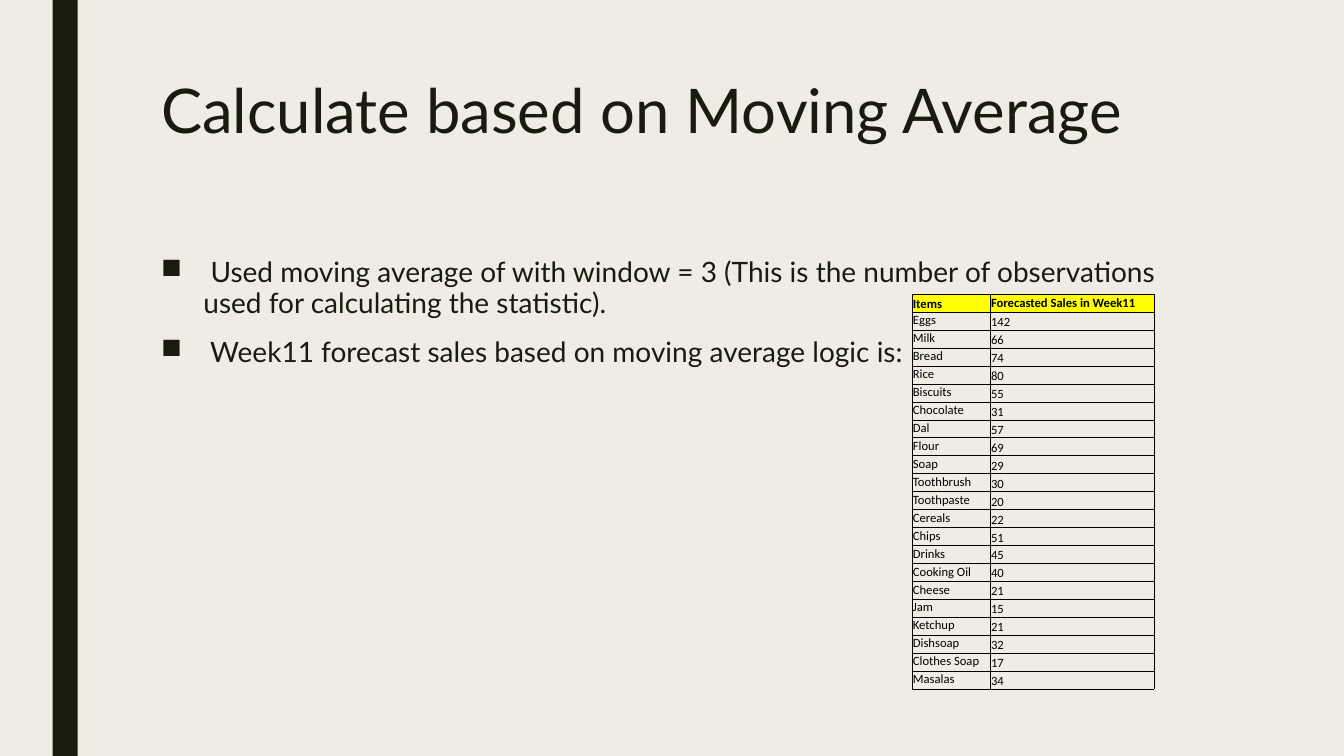
import pptx
import pptx.dml.color
import pptx.enum.shapes
import pptx.enum.text
import pptx.oxml.ns
import pptx.util
from lxml import etree

Pt = pptx.util.Pt
qn = pptx.oxml.ns.qn
ANCHOR = pptx.enum.text.MSO_ANCHOR

BACKGROUND = "EFEDE3"
INK = "191B0E"
BLACK = "000000"
YELLOW = "FFFF00"

BULLETS = [
    " Used moving average of with window = 3 (This is the number of "
    "observations used for calculating the statistic).",
    " Week11 forecast sales based on moving average logic is:",
]
HEADER = ("Items", "Forecasted Sales in Week11")
FORECAST = [
    ("Eggs", 142), ("Milk", 66), ("Bread", 74), ("Rice", 80),
    ("Biscuits", 55), ("Chocolate", 31), ("Dal", 57), ("Flour", 69),
    ("Soap", 29), ("Toothbrush", 30), ("Toothpaste", 20), ("Cereals", 22),
    ("Chips", 51), ("Drinks", 45), ("Cooking Oil", 40), ("Cheese", 21),
    ("Jam", 15), ("Ketchup", 21), ("Dishsoap", 32), ("Clothes Soap", 17),
    ("Masalas", 34),
]


def rgb(value):
    return pptx.dml.color.RGBColor.from_string(value)


class SlideBuilder:
    """Holds the text style and the slide being filled."""

    font = "Lato"
    table_font = "Calibri"

    def __init__(self, slide):
        self.slide = slide
        fill = slide.background.fill
        fill.solid()
        fill.fore_color.rgb = rgb(BACKGROUND)

    def bar(self, x, y, w, h):
        sp = self.slide.shapes.add_shape(
            pptx.enum.shapes.MSO_SHAPE.RECTANGLE, Pt(x), Pt(y), Pt(w), Pt(h))
        sp.shadow.inherit = False
        sp.fill.solid()
        sp.fill.fore_color.rgb = rgb(INK)
        sp.line.fill.background()

    def run(self, p, text, size, font, color, bold=False):
        r = p.add_run()
        r.text = text
        r.font.size = Pt(size)
        r.font.name = font
        r.font.bold = bold
        r.font.color.rgb = rgb(color)

    def text(self, x, y, w, h, lines, size, spacing, bulleted=False):
        sp = self.slide.shapes.add_textbox(Pt(x), Pt(y), Pt(w), Pt(h))
        tf = sp.text_frame
        tf.word_wrap = True
        for i, line in enumerate(lines):
            p = tf.add_paragraph() if i else tf.paragraphs[0]
            p.line_spacing = spacing
            if bulleted:
                p.space_before, p.space_after = Pt(10), Pt(2)
                self.bullet(p, 30.24)
            self.run(p, line, size, self.font, INK)

    def bullet(self, p, indent):
        pPr = p._p.get_or_add_pPr()
        pPr.set("marL", str(Pt(indent)))
        pPr.set("indent", str(-Pt(indent)))
        etree.SubElement(pPr, qn("a:buChar")).set("char", "■")

    def table(self, x, y, widths, row_height, rows):
        shape = self.slide.shapes.add_table(
            len(rows), len(widths), Pt(x), Pt(y),
            Pt(sum(widths)), Pt(row_height * len(rows)))
        table = shape.table
        table.first_row = table.horz_banding = False
        for column, width in zip(table.columns, widths):
            column.width = Pt(width)
        for i, row in enumerate(rows):
            table.rows[i].height = Pt(row_height)
            for j, value in enumerate(row):
                self.cell(table.cell(i, j), str(value), i == 0,
                          at_bottom=(i == 0) != (j == 1))

    def cell(self, cell, text, is_header, at_bottom):
        cell.margin_left = cell.margin_right = cell.margin_top = Pt(0.6)
        cell.margin_bottom = Pt(0)
        cell.vertical_anchor = ANCHOR.BOTTOM if at_bottom else ANCHOR.TOP
        self.borders(cell)
        if is_header:
            cell.fill.solid()
            cell.fill.fore_color.rgb = rgb(YELLOW)
        else:
            cell.fill.background()
        self.run(cell.text_frame.paragraphs[0], text, 9, self.table_font,
                 BLACK, bold=is_header)

    def borders(self, cell):
        tcPr = cell._tc.get_or_add_tcPr()
        for side in ("a:lnL", "a:lnR", "a:lnT", "a:lnB"):
            ln = etree.SubElement(tcPr, qn(side))
            ln.set("w", str(Pt(0.5)))
            fill = etree.SubElement(ln, qn("a:solidFill"))
            etree.SubElement(fill, qn("a:srgbClr")).set("val", BLACK)


def main():
    prs = pptx.Presentation()
    prs.slide_width, prs.slide_height = Pt(960), Pt(540)
    s = SlideBuilder(prs.slides.add_slide(prs.slide_layouts[6]))
    s.bar(37.5, 0, 18, 540)
    s.text(108, 54, 756, 117, ["Calculate based on Moving Average"], 44, 0.89)
    s.text(108, 180, 756, 282, BULLETS, 20, 0.94, bulleted=True)
    s.table(651.5, 210.2, (55.8, 117), 12.83, [HEADER, *FORECAST])
    prs.save("out.pptx")


if __name__ == "__main__":
    main()
